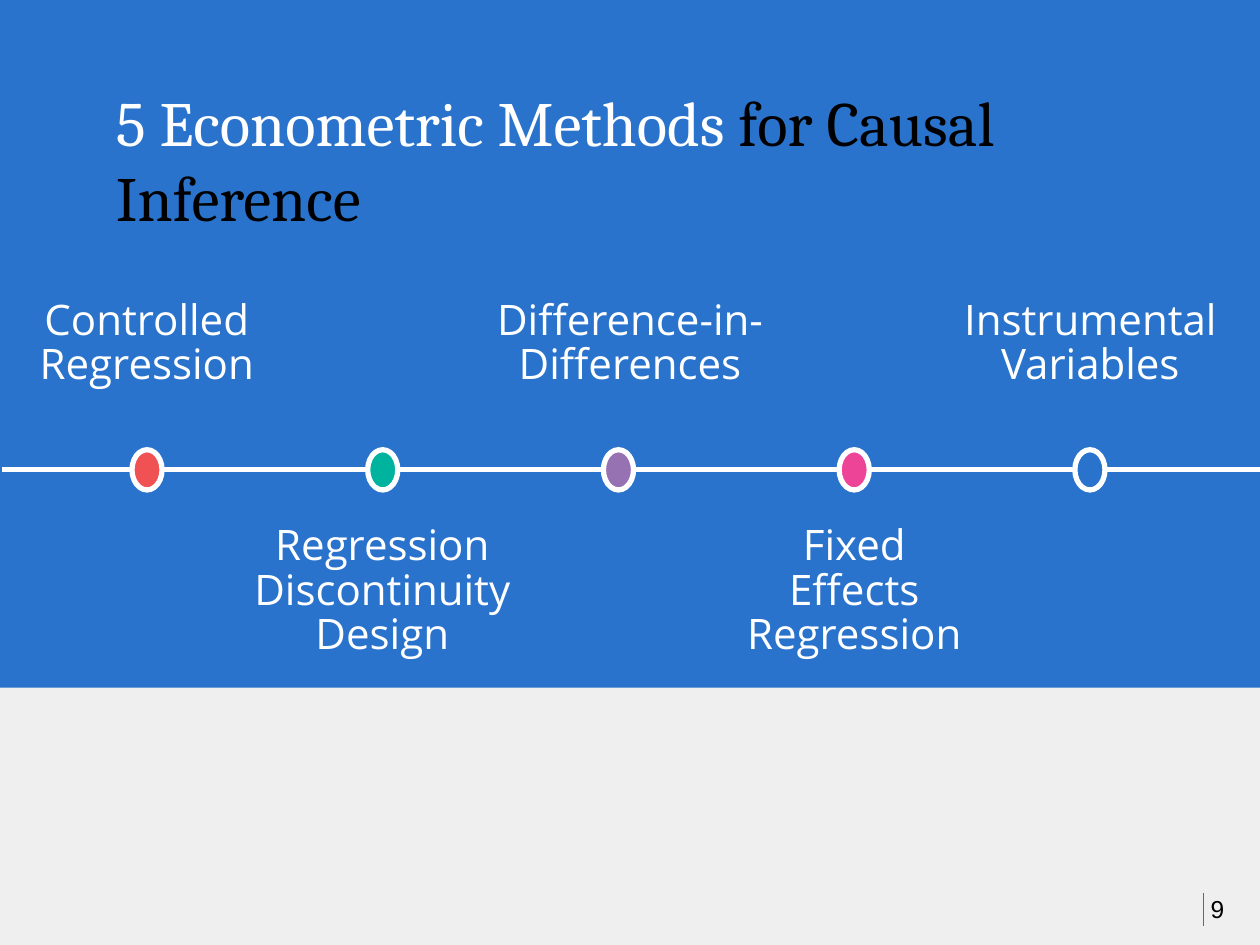
from lxml.etree import SubElement
from pptx import Presentation
from pptx.dml.color import RGBColor
from pptx.enum.shapes import MSO_CONNECTOR as CONNECTOR, MSO_SHAPE as SHAPE
from pptx.enum.text import MSO_ANCHOR as ANCHOR, PP_ALIGN as ALIGN
from pptx.oxml.ns import qn
from pptx.util import Pt

BLUE = RGBColor(0x2A, 0x73, 0xCC)
PALE = RGBColor(0xEF, 0xEF, 0xEF)
WHITE = RGBColor(0xFF, 0xFF, 0xFF)
BLACK = RGBColor(0x00, 0x00, 0x00)
RED = RGBColor(0xF0, 0x52, 0x53)
GREEN = RGBColor(0x00, 0xB3, 0x9F)
PURPLE = RGBColor(0x97, 0x72, 0xB2)
PINK = RGBColor(0xEE, 0x44, 0x98)

prs = Presentation()
prs.slide_width, prs.slide_height = Pt(720), Pt(540)
slide = prs.slides.add_slide(prs.slide_layouts[6])
slide.background.fill.solid()
slide.background.fill.fore_color.rgb = PALE


def add_text(left, top, width, height, runs, size, font, anchor, align, spacing):
    box = slide.shapes.add_textbox(Pt(left), Pt(top), Pt(width), Pt(height))
    frame_format = {"word_wrap": True, "vertical_anchor": anchor}
    for side in ("left", "top", "right", "bottom"):
        frame_format[f"margin_{side}"] = Pt(7.2)
    for key, value in frame_format.items():
        setattr(box.text_frame, key, value)
    paragraph = box.text_frame.paragraphs[0]
    paragraph.alignment, paragraph.line_spacing = align, spacing
    for words, color in runs:
        run = paragraph.add_run()
        run.text = words
        for key, value in {"size": Pt(size), "name": font}.items():
            setattr(run.font, key, value)
        run.font.color.rgb = color


def add_line(x1, y1, x2, y2, color, weight):
    line = slide.shapes.add_connector(CONNECTOR.STRAIGHT, Pt(x1), Pt(y1), Pt(x2), Pt(y2))
    line.line.color.rgb = color
    line.line.width = Pt(weight)
    SubElement(line._element.spPr, qn("a:effectLst"))


band = slide.shapes.add_shape(SHAPE.RECTANGLE, 0, 0, Pt(720), Pt(393))
band.shadow.inherit = False
band.fill.solid()
band.fill.fore_color.rgb = BLUE
band.line.fill.background()

title = [("5 Econometric Methods ", WHITE), ("for Causal Inference", BLACK)]
add_text(59.2, 15.1, 580.3, 126, title, 36, "Cambria", ANCHOR.BOTTOM, ALIGN.LEFT, 1.0)

add_line(0.9, 268.4, 720, 268.4, WHITE, 3)

ABOVE, BELOW = 164.2, 293
methods = [
    ("Controlled Regression", RED, -1.4, ABOVE, 170.6),
    ("Regression Discontinuity Design", GREEN, 133.2, BELOW, 170.6),
    ("Difference-in-Differences", PURPLE, 269.3, ABOVE, 181.4),
    ("Fixed Effects Regression", PINK, 414.7, BELOW, 146.9),
    ("Instrumental Variables", BLUE, 537.8, ABOVE, 170.6),
]
for step, (method, color, left, top, width) in enumerate(methods):
    marker = slide.shapes.add_shape(
        SHAPE.OVAL, Pt(75.4 + 134.7 * step), Pt(257), Pt(17.2), Pt(23)
    )
    marker.shadow.inherit = False
    marker.fill.solid()
    marker.fill.fore_color.rgb = color
    marker.line.color.rgb = WHITE
    marker.line.width = Pt(3)
    add_text(left, top, width, 43.2, [(method, WHITE)], 24, "Open Sans",
             ANCHOR.TOP, ALIGN.CENTER, 0.88)

add_line(687.6, 510.5, 687.6, 529.2, BLUE, 0.75)
add_text(684.7, 499, 27.4, 41, [("9", BLACK)], 14, "Arial", ANCHOR.MIDDLE, ALIGN.LEFT, 1.0)

prs.save("out.pptx")
